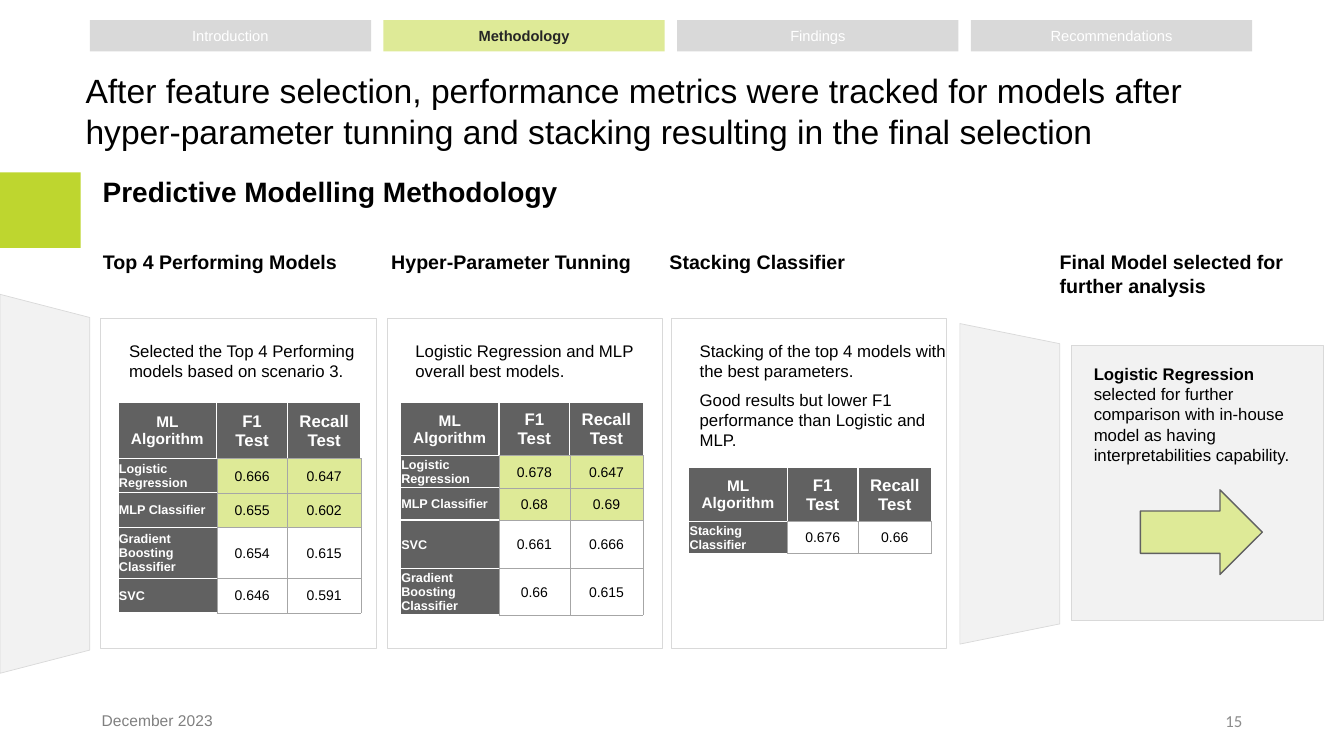
from lxml.etree import SubElement
from pptx import Presentation
from pptx.dml.color import RGBColor
from pptx.enum.shapes import MSO_SHAPE
from pptx.enum.text import MSO_ANCHOR, PP_ALIGN
from pptx.oxml.ns import qn
from pptx.util import Pt

SCALE = 9144
COLORS = {
    "white": "FFFFFF", "black": "000000", "ink": "262626", "tab": "D9D9D9",
    "panel": "F2F2F2", "lime": "BED62F", "pale": "DEEA97", "dark": "616161",
    "grid": "A6A6A6", "date": "808080", "number": "8C8C8C",
}
FORMATS = {
    "title": {"size": 24},
    "subtitle": {"size": 20, "bold": True},
    "heading": {"size": 14, "bold": True},
    "body": {"size": 12},
    "strong": {"size": 12, "bold": True},
    "tab": {"size": 10.5, "color": "white"},
    "active": {"size": 10.5, "color": "ink", "bold": True},
    "date": {"size": 11.1, "color": "date"},
    "number": {"size": 12, "color": "number", "name": "Calibri"},
    "corner": {"size": 11, "color": "white", "bold": True},
    "column": {"size": 12, "color": "white", "bold": True},
    "label": {"size": 9, "color": "white", "bold": True},
    "value": {"size": 10},
}
TITLE = ("After feature selection, performance metrics were tracked for models after "
         "hyper-parameter tunning and stacking resulting in the final selection")
TABS = ["Introduction", "Methodology", "Findings", "Recommendations"]
ACTIVE_TAB = "Methodology"
HEADER = ("ML Algorithm", "F1 Test", "Recall Test")
COLUMN_WIDTHS = (98, 70, 73)
STAGES = [
    {"heading": "Top 4 Performing Models", "heading_x": 102, "card_x": 100,
     "text": ["Selected the Top 4 Performing models based on scenario 3."],
     "table": (117, 399), "heights": (56, 34, 34, 51, 34), "best": 2,
     "rows": [("Logistic Regression", "0.666", "0.647"),
              ("MLP Classifier", "0.655", "0.602"),
              ("Gradient Boosting Classifier", "0.654", "0.615"),
              ("SVC", "0.646", "0.591")]},
    {"heading": "Hyper-Parameter Tunning", "heading_x": 388, "card_x": 384,
     "text": ["Logistic Regression and MLP overall best models."],
     "table": (397, 399), "heights": (53, 32, 32, 48, 44), "best": 2,
     "rows": [("Logistic Regression", "0.678", "0.647"),
              ("MLP Classifier", "0.68", "0.69"),
              ("SVC", "0.661", "0.666"),
              ("Gradient Boosting Classifier", "0.66", "0.615")]},
    {"heading": "Stacking Classifier", "heading_x": 664, "card_x": 666,
     "text": ["Stacking of the top 4 models with the best parameters.",
              "Good results but lower F1 performance than Logistic and MLP."],
     "table": (683, 464), "heights": (53, 32), "best": 0,
     "rows": [("Stacking Classifier", "0.676", "0.66")]},
]
FINAL_HEADING = "Final Model selected for further analysis"
FINAL_NOTE = [
    ("Logistic Regression ", "strong"),
    ("selected for further comparison with in-house model as having "
     "interpretabilities capability.", "body"),
]
FUNNELS = [
    [(89, 645), (0, 668), (0, 292), (89, 315)],
    [(1051, 619), (952, 639), (952, 321), (1051, 341)],
]


def px(length):
    return round(length * SCALE)


def rgb(name):
    return RGBColor.from_string(COLORS[name])


def write(frame, paragraphs, align=PP_ALIGN.LEFT, anchor=MSO_ANCHOR.TOP,
          margins=(10, 5, 10, 5), gap=0, spacing=None):
    frame.word_wrap = True
    frame.vertical_anchor = anchor
    for side, margin in zip(("left", "top", "right", "bottom"), margins):
        setattr(frame, f"margin_{side}", px(margin))
    for index, spans in enumerate(paragraphs):
        para = frame.add_paragraph() if index else frame.paragraphs[0]
        para.alignment = align
        if index:
            para.space_before = Pt(gap)
        if spacing:
            para.line_spacing = spacing
        for text, style in spans:
            span = para.add_run()
            span.text = text
            values = {"name": "Arial", "bold": False, "color": "black", **FORMATS[style]}
            span.font.color.rgb = rgb(values.pop("color"))
            values["size"] = Pt(values["size"])
            for attribute, value in values.items():
                setattr(span.font, attribute, value)


def add_text(page, bounds, spans, **options):
    box = page.shapes.add_textbox(*map(px, bounds))
    write(box.text_frame, [spans], **options)


def paint(shape, fill, line=None, width=0.5):
    shape.shadow.inherit = False
    shape.fill.solid()
    shape.fill.fore_color.rgb = rgb(fill)
    if line:
        shape.line.color.rgb = rgb(line)
        shape.line.width = Pt(width)
    else:
        shape.line.fill.background()


def add_block(page, bounds, fill, line=None, kind=MSO_SHAPE.RECTANGLE, width=0.5):
    shape = page.shapes.add_shape(kind, *map(px, bounds))
    paint(shape, fill, line, width)
    return shape


def add_funnel(page, points):
    builder = page.shapes.build_freeform(*points[0], scale=SCALE)
    builder.add_line_segments(points[1:], close=True)
    paint(builder.convert_to_shape(), "panel", "tab")


def set_borders(cell, edges):
    properties = cell._tc.get_or_add_tcPr()
    for index, (edge, color) in enumerate(edges.items()):
        width = Pt(1) if color == "white" else Pt(0.25)
        line = properties.makeelement(qn(f"a:ln{edge}"), {"w": str(int(width))})
        fill = SubElement(line, qn("a:solidFill"))
        SubElement(fill, qn("a:srgbClr"), val=COLORS[color])
        properties.insert(index, line)


def fill_cell(cell, text, row, column, best):
    is_header, is_label = row == 0, column == 0
    is_dark = is_header or is_label
    edges = dict.fromkeys("LRTB", "white" if is_dark else "grid")
    if is_header and not is_label:
        edges["B"] = "grid"
    if is_label and not is_header:
        edges["R"] = "grid"
    if is_header:
        style = "corner" if is_label else "column"
    else:
        style = "label" if is_label else "value"
    side = 8 if is_header else 1
    align = PP_ALIGN.LEFT if style == "label" else PP_ALIGN.CENTER
    write(cell.text_frame, [[(text, style)]], align=align)
    cell.vertical_anchor = MSO_ANCHOR.MIDDLE
    for name, margin in {"left": side, "right": side, "top": 1, "bottom": 0}.items():
        setattr(cell, f"margin_{name}", px(margin))
    cell.fill.solid()
    cell.fill.fore_color.rgb = rgb("dark" if is_dark else "pale" if row <= best else "white")
    set_borders(cell, edges)


def add_scores(page, stage):
    rows, heights = [HEADER, *stage["rows"]], stage["heights"]
    bounds = (*stage["table"], sum(COLUMN_WIDTHS), sum(heights))
    table = page.shapes.add_table(len(rows), len(HEADER), *map(px, bounds)).table
    table.first_row = table.horz_banding = False
    for column, width in zip(table.columns, COLUMN_WIDTHS):
        column.width = px(width)
    for row, (texts, height) in enumerate(zip(rows, heights)):
        table.rows[row].height = px(height)
        for column, text in enumerate(texts):
            fill_cell(table.cell(row, column), text, row, column, stage["best"])


def add_heading(page, left, text):
    add_text(page, (left, 244, 240, 38), [(text, "heading")], margins=(0, 4, 0, 4))


def main():
    """Build the model selection slide."""
    deck = Presentation()
    deck.slide_width, deck.slide_height = px(1333), px(750)
    page = deck.slides.add_slide(deck.slide_layouts[6])
    middle = MSO_ANCHOR.MIDDLE

    add_text(page, (942, 695, 300, 40), [("15", "number")], align=PP_ALIGN.RIGHT, anchor=middle)
    add_text(page, (75, 62, 1191, 95), [(TITLE, "title")], anchor=middle)
    add_text(page, (92, 172, 1150, 41), [("Predictive Modelling Methodology", "subtitle")],
             spacing=0.9)
    for index, name in enumerate(TABS):
        active = name == ACTIVE_TAB
        tab = add_block(page, (89 + 291.33 * index, 20, 279, 31), "pale" if active else "tab")
        write(tab.text_frame, [[(name, "active" if active else "tab")]],
              align=PP_ALIGN.CENTER, anchor=middle)
    add_text(page, (91, 695, 133, 40), [("December 2023", "date")], anchor=middle)
    add_block(page, (0, 171, 80, 75), "lime")
    for points in FUNNELS:
        add_funnel(page, points)

    for stage in STAGES:
        add_heading(page, stage["heading_x"], stage["heading"])
        card = add_block(page, (stage["card_x"], 316, 273, 327), "white", "tab")
        write(card.text_frame, [[(text, "body")] for text in stage["text"]],
              margins=(28, 22, 0, 5), gap=6)
        add_scores(page, stage)

    add_heading(page, 1051, FINAL_HEADING)
    add_block(page, (1063, 343, 250, 272), "panel", "tab")
    add_text(page, (1075, 356, 217, 111), FINAL_NOTE)
    add_block(page, (1131, 486, 121, 84), "pale", "dark", MSO_SHAPE.RIGHT_ARROW, 1)
    deck.save("out.pptx")


if __name__ == "__main__":
    main()
